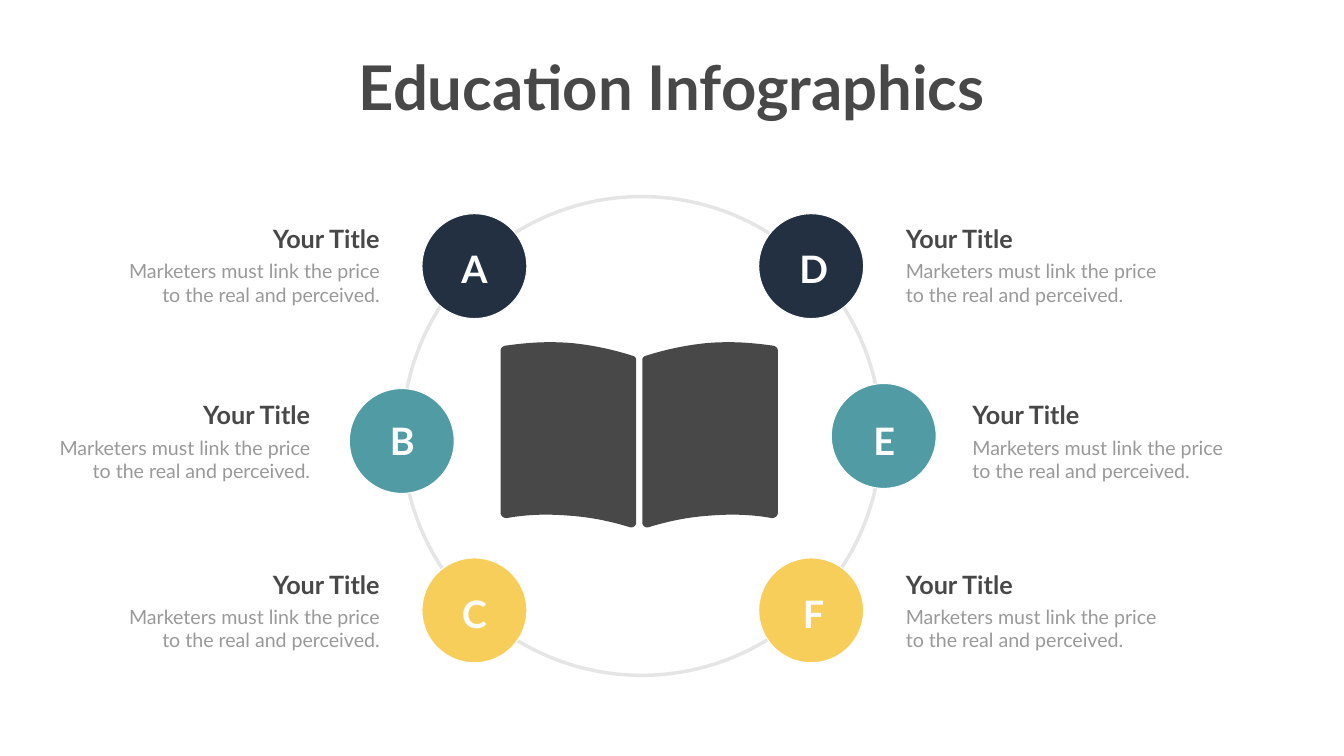
"""Builds the Education Infographics slide: an open book ringed by six lettered topics."""
import pptx
import pptx.dml.color
import pptx.enum.shapes
import pptx.enum.text
import pptx.oxml.ns
import pptx.util
from lxml import etree

RGBColor = pptx.dml.color.RGBColor
Align = pptx.enum.text.PP_ALIGN

CHARCOAL = RGBColor(0x48, 0x48, 0x48)
GRAY = RGBColor(0x99, 0x99, 0x99)
RING_GRAY = RGBColor(0x80, 0x80, 0x80)
WHITE = RGBColor(0xFF, 0xFF, 0xFF)
NAVY = RGBColor(0x22, 0x30, 0x42)
TEAL = RGBColor(0x50, 0x9B, 0xA4)
YELLOW = RGBColor(0xF8, 0xCE, 0x5A)

COLUMNS, ROWS = 26.66, 15
RING_CENTER, RING_DIAMETER = (12.73, 8.65), 9.5
DISC_DIAMETER = 2.08
LETTER_WIDTH, LETTER_HEIGHT = 1.34, 1.01
CAPTION_WIDTH, HEADING_HEIGHT, DETAIL_HEIGHT = 5.27, 0.71, 1.04
BOOK_SPINE = 12.68

HEADING = "Your Title"
DETAIL = "Marketers must link the price to the real and perceived."

TOPICS = [
    ("A", NAVY, (9.41, 5.28), (9.41, 5.33), 2.36, 4.38, Align.RIGHT),
    ("B", TEAL, (7.97, 8.75), (7.98, 8.75), 0.98, 7.88, Align.RIGHT),
    ("C", YELLOW, (9.41, 12.11), (9.41, 12.18), 2.36, 11.24, Align.RIGHT),
    ("D", NAVY, (16.09, 5.28), (16.14, 5.33), 17.87, 4.38, Align.LEFT),
    ("E", TEAL, (17.53, 8.65), (17.54, 8.75), 19.19, 7.88, Align.LEFT),
    ("F", YELLOW, (16.09, 12.11), (16.14, 12.18), 17.87, 11.24, Align.LEFT),
]

PAGE_START = (15.43, 10.17)
PAGE_CURVES = [
    [(15.43, 10.17), (15.43, 10.24), (15.37, 10.28), (15.31, 10.28)],
    [(15.31, 10.28), (14.99, 10.22), (14.57, 10.19), (14.09, 10.23)],
    [(14.09, 10.23), (13.61, 10.26), (13.19, 10.36), (12.87, 10.46)],
    [(12.87, 10.46), (12.80, 10.48), (12.74, 10.43), (12.74, 10.36)],
    [(12.74, 7.15), (12.74, 7.11), (12.76, 7.07), (12.81, 7.06)],
    [(12.81, 7.06), (13.12, 6.96), (13.52, 6.86), (13.99, 6.81)],
    [(13.99, 6.81), (14.53, 6.76), (14.99, 6.81), (15.34, 6.86)],
    [(15.34, 6.86), (15.39, 6.87), (15.43, 6.91), (15.43, 6.96)],
]


def curve_points(curve, steps=12):
    """Return evenly stepped points along a cubic curve."""
    points = []
    for step in range(steps + 1):
        t = step / steps
        weights = ((1 - t) ** 3, 3 * t * (1 - t) ** 2, 3 * t ** 2 * (1 - t), t ** 3)
        points.append(tuple(sum(w * p[axis] for w, p in zip(weights, curve)) for axis in (0, 1)))
    return points


class Infographic:
    """Holds the style and the current slide, measured in grid columns and rows."""

    font = "Lato"

    def __init__(self, deck):
        self.column = deck.slide_width / COLUMNS
        self.row = deck.slide_height / ROWS
        self.slide = deck.slides.add_slide(deck.slide_layouts[5])

    def place(self, left, top, width, height):
        return (round(left * self.column), round(top * self.row),
                round(width * self.column), round(height * self.row))

    def add_words(self, frame, words, size, color, align, bold):
        paragraph = frame.paragraphs[0]
        paragraph.alignment = align
        run = paragraph.add_run()
        run.text = words
        run.font.name = self.font
        run.font.size = pptx.util.Pt(size)
        run.font.bold = bold
        run.font.color.rgb = color

    def title(self, words, *box):
        heading = self.slide.shapes.title
        heading.left, heading.top, heading.width, heading.height = self.place(*box)
        heading.text_frame.auto_size = pptx.enum.text.MSO_AUTO_SIZE.NONE
        heading.text_frame.word_wrap = False
        self.add_words(heading.text_frame, words, 88, CHARCOAL, Align.CENTER, True)

    def text(self, words, box, size, color, align, bold=False):
        frame = self.slide.shapes.add_textbox(*self.place(*box)).text_frame
        frame.word_wrap = True
        self.add_words(frame, words, size, color, align, bold)

    def circle(self, center, diameter, line_color, line_width):
        x, y = center
        oval = self.slide.shapes.add_shape(
            pptx.enum.shapes.MSO_SHAPE.OVAL,
            *self.place(x - diameter / 2, y - diameter / 2, diameter, diameter))
        oval.shadow.inherit = False
        oval.line.color.rgb = line_color
        oval.line.width = pptx.util.Pt(line_width)
        return oval

    def ring(self):
        oval = self.circle(RING_CENTER, RING_DIAMETER, RING_GRAY, 5)
        oval.fill.background()
        color = oval.element.spPr.find(".//" + pptx.oxml.ns.qn("a:srgbClr"))
        etree.SubElement(color, pptx.oxml.ns.qn("a:alpha"), val="20000")

    def disc(self, center, color):
        oval = self.circle(center, DISC_DIAMETER, WHITE, 1.45)
        oval.fill.solid()
        oval.fill.fore_color.rgb = color

    def page(self, mirrored):
        outline = [PAGE_START] + [point for curve in PAGE_CURVES for point in curve_points(curve)]
        if mirrored:
            outline = [(2 * BOOK_SPINE - x, y) for x, y in outline]
        points = [(round(x * self.column), round(y * self.row)) for x, y in outline]
        builder = self.slide.shapes.build_freeform(*points[0])
        builder.add_line_segments(points[1:], close=True)
        page = builder.convert_to_shape()
        page.shadow.inherit = False
        page.fill.solid()
        page.fill.fore_color.rgb = CHARCOAL
        page.line.fill.background()

    def caption(self, left, top, align):
        self.text(DETAIL, (left, top + HEADING_HEIGHT, CAPTION_WIDTH, DETAIL_HEIGHT),
                  28, GRAY, align)
        self.text(HEADING, (left, top, CAPTION_WIDTH, HEADING_HEIGHT),
                  36, CHARCOAL, align, True)

    def letter(self, label, center):
        x, y = center
        box = (x - LETTER_WIDTH / 2, y - LETTER_HEIGHT / 2, LETTER_WIDTH, LETTER_HEIGHT)
        self.text(label, box, 54, WHITE, Align.CENTER, True)


def main():
    deck = pptx.Presentation()
    deck.slide_width = pptx.util.Inches(COLUMNS)
    deck.slide_height = pptx.util.Inches(ROWS)
    infographic = Infographic(deck)
    infographic.title("Education Infographics", 6.88, 0.91, 12.89, 1.58)
    for mirrored in (False, True):
        infographic.page(mirrored)
    infographic.ring()
    for label, color, disc_center, letter_center, left, top, align in TOPICS:
        infographic.disc(disc_center, color)
        infographic.caption(left, top, align)
        infographic.letter(label, letter_center)
    deck.save("out.pptx")


if __name__ == "__main__":
    main()
